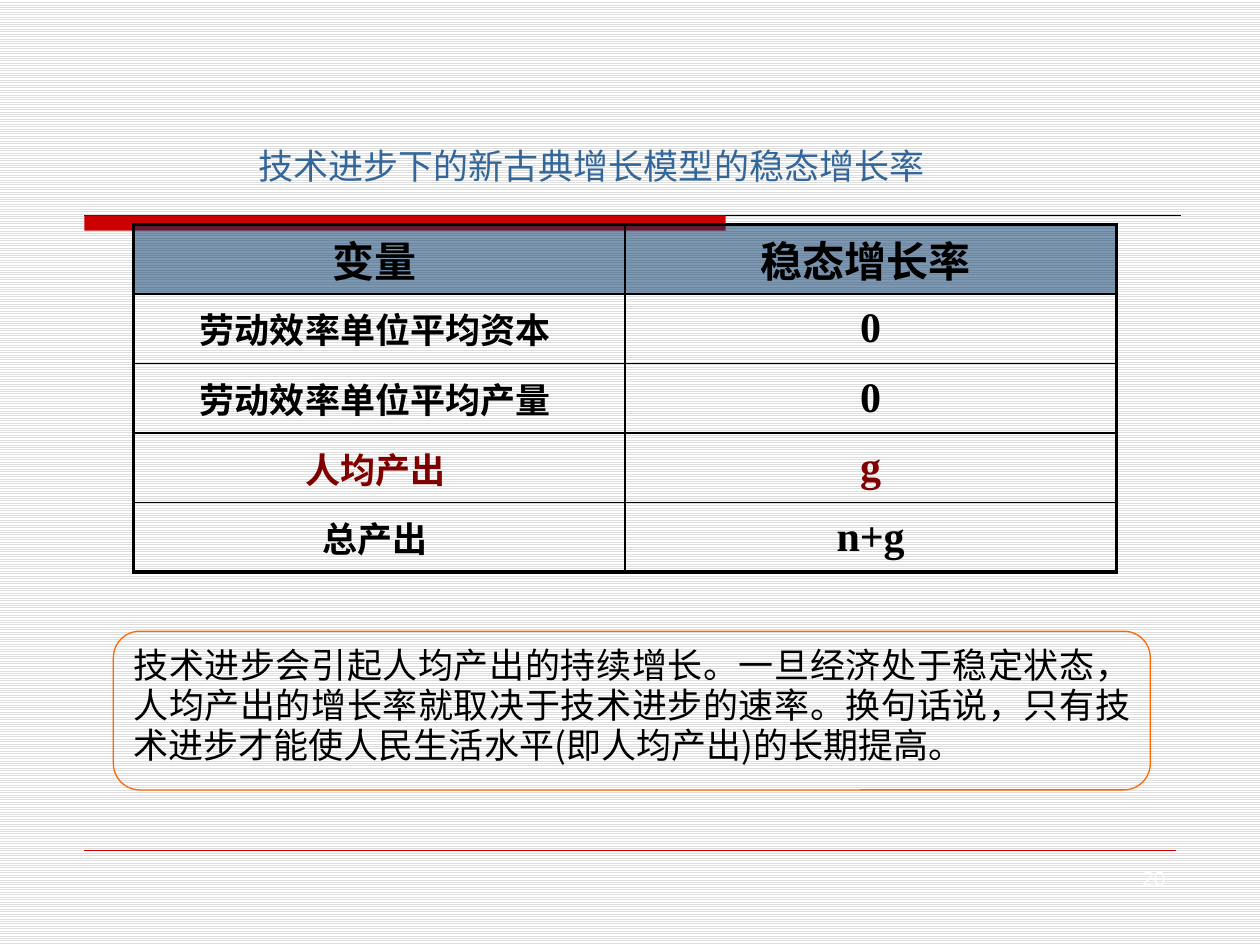
from lxml import etree
from pptx import Presentation
from pptx.dml.color import RGBColor
from pptx.enum import dml, shapes, text
from pptx.oxml.ns import qn
from pptx.util import Inches, Pt

BLACK = RGBColor(0x00, 0x00, 0x00)
WHITE = RGBColor(0xFF, 0xFF, 0xFF)
STRIPE = RGBColor(0xDD, 0xDD, 0xDD)
RED = RGBColor(0xCC, 0x00, 0x00)
NAVY = RGBColor(0x00, 0x33, 0x66)
BLUE = RGBColor(0x33, 0x66, 0x99)
MAROON = RGBColor(0x80, 0x00, 0x00)
ORANGE = RGBColor(0xFF, 0x66, 0x00)
CJK, SERIF, SANS = "Noto Sans CJK SC", "Times New Roman", "Arial"

ROWS = [
    ("变量 ", "稳态增长率 "),
    ("劳动效率单位平均资本 ", "0"),
    ("劳动效率单位平均产量 ", "0"),
    ("人均产出 ", "g"),
    ("总产出 ", "n+g"),
]
CONCLUSION = ("技术进步会引起人均产出的持续增长。一旦经济处于稳定状态，"
              "人均产出的增长率就取决于技术进步的速率。换句话说，"
              "只有技术进步才能使人民生活水平(即人均产出)的长期提高。")


def write(tf, words, size, font, color, align, bold=False):
    p = tf.paragraphs[0]
    p.text = words
    p.alignment = align
    f = p.font
    f.size, f.name, f.bold = Pt(size), font, bold
    f.color.rgb = color
    # East Asian text takes its own font
    props = p._p.pPr.find(qn("a:defRPr"))
    etree.SubElement(props, qn("a:ea"), typeface=CJK)
    return p


def no_margins(tf):
    tf.margin_left = tf.margin_right = tf.margin_top = tf.margin_bottom = 0


def add_rule(s, x1, x2, y, color, width):
    line = s.shapes.add_connector(shapes.MSO_CONNECTOR.STRAIGHT,
                                  Inches(x1), Inches(y), Inches(x2), Inches(y))
    line.line.color.rgb = color
    line.line.width = Pt(width)
    etree.SubElement(line._element.spPr, qn("a:effectLst"))


def add_bar(s, x, y, w, h):
    sp = s.shapes.add_shape(shapes.MSO_SHAPE.RECTANGLE,
                            Inches(x), Inches(y), Inches(w), Inches(h))
    sp.shadow.inherit = False
    sp.fill.solid()
    sp.fill.fore_color.rgb = RED
    sp.line.fill.background()


def set_borders(cell, widths):
    """Give the cell black left, right, top and bottom lines."""
    tcPr = cell._tc.get_or_add_tcPr()
    for i, (side, width) in enumerate(zip("LRTB", widths)):
        ln = etree.Element(qn(f"a:ln{side}"), w=str(Pt(width)))
        fill = etree.SubElement(ln, qn("a:solidFill"))
        etree.SubElement(fill, qn("a:srgbClr"), val=str(BLACK))
        tcPr.insert(i, ln)


def fill_header(cell):
    cell.fill.solid()
    cell.fill.fore_color.rgb = NAVY
    color = cell._tc.tcPr.find(".//" + qn("a:srgbClr"))
    etree.SubElement(color, qn("a:alpha"), val="50000")


def add_growth_table(s):
    last_row, last_col = len(ROWS) - 1, len(ROWS[0]) - 1
    table = s.shapes.add_table(len(ROWS), len(ROWS[0]), Inches(1.06), Inches(1.78),
                               Inches(7.8), Inches(2.76)).table
    table.first_row = table.horz_banding = False
    for r, row in enumerate(ROWS):
        for c, words in enumerate(row):
            cell = table.cell(r, c)
            no_margins(cell)
            cell.vertical_anchor = text.MSO_ANCHOR.MIDDLE
            if r == 0:
                fill_header(cell)
            else:
                cell.fill.background()
            write(cell.text_frame, words,
                  20 if r and c == 0 else 24,
                  SERIF if r and c else CJK,
                  MAROON if r == 3 else BLACK,
                  text.PP_ALIGN.CENTER, bold=True)
            # Thick outside, thin inside
            outer = (c == 0, c == last_col, r == 0, r == last_row)
            set_borders(cell, [2.25 if edge else 1 for edge in outer])


def add_title(s, words):
    title = s.shapes.title
    title.left, title.top = Inches(2.05), Inches(1.15)
    title.width, title.height = Inches(5.31), Inches(0.33)
    tf = title.text_frame
    no_margins(tf)
    tf.word_wrap = False
    tf.auto_size = text.MSO_AUTO_SIZE.NONE
    write(tf, words, 20, SANS, BLUE, text.PP_ALIGN.LEFT)


def add_conclusion(s):
    sp = s.shapes.add_shape(shapes.MSO_SHAPE.ROUNDED_RECTANGLE,
                            Inches(0.9), Inches(5.01), Inches(8.23), Inches(1.26))
    sp.shadow.inherit = False
    sp.fill.background()
    sp.line.color.rgb = ORANGE
    sp.line.width = Pt(0.75)
    tf = sp.text_frame
    tf.word_wrap = True
    tf.vertical_anchor = text.MSO_ANCHOR.TOP
    p = write(tf, CONCLUSION, 20, CJK, BLACK, text.PP_ALIGN.JUSTIFY)
    p.line_spacing = Pt(23)


def add_page_number(s, number):
    box = s.shapes.add_textbox(Inches(8.25), Inches(6.87), Inches(1), Inches(0.25))
    no_margins(box.text_frame)
    box.text_frame.word_wrap = True
    write(box.text_frame, number, 12, SANS, WHITE, text.PP_ALIGN.RIGHT)


def main():
    prs = Presentation()
    prs.slide_width, prs.slide_height = Inches(10), Inches(7.5)
    s = prs.slides.add_slide(prs.slide_layouts[5])

    # Striped background
    fill = s.background.fill
    fill.patterned()
    fill.pattern = dml.MSO_PATTERN.LIGHT_HORIZONTAL
    fill.fore_color.rgb = STRIPE
    fill.back_color.rgb = WHITE

    # Title and rules
    add_title(s, "技术进步下的新古典增长模型的稳态增长率")
    add_rule(s, 0.67, 9.37, 1.71, BLACK, 0.75)
    add_bar(s, 0.67, 1.71, 5.09, 0.12)
    add_rule(s, 0.67, 9.33, 6.75, RED, 0.25)

    # Content
    add_growth_table(s)
    add_conclusion(s)
    add_page_number(s, "20")
    prs.save("out.pptx")


if __name__ == "__main__":
    main()
